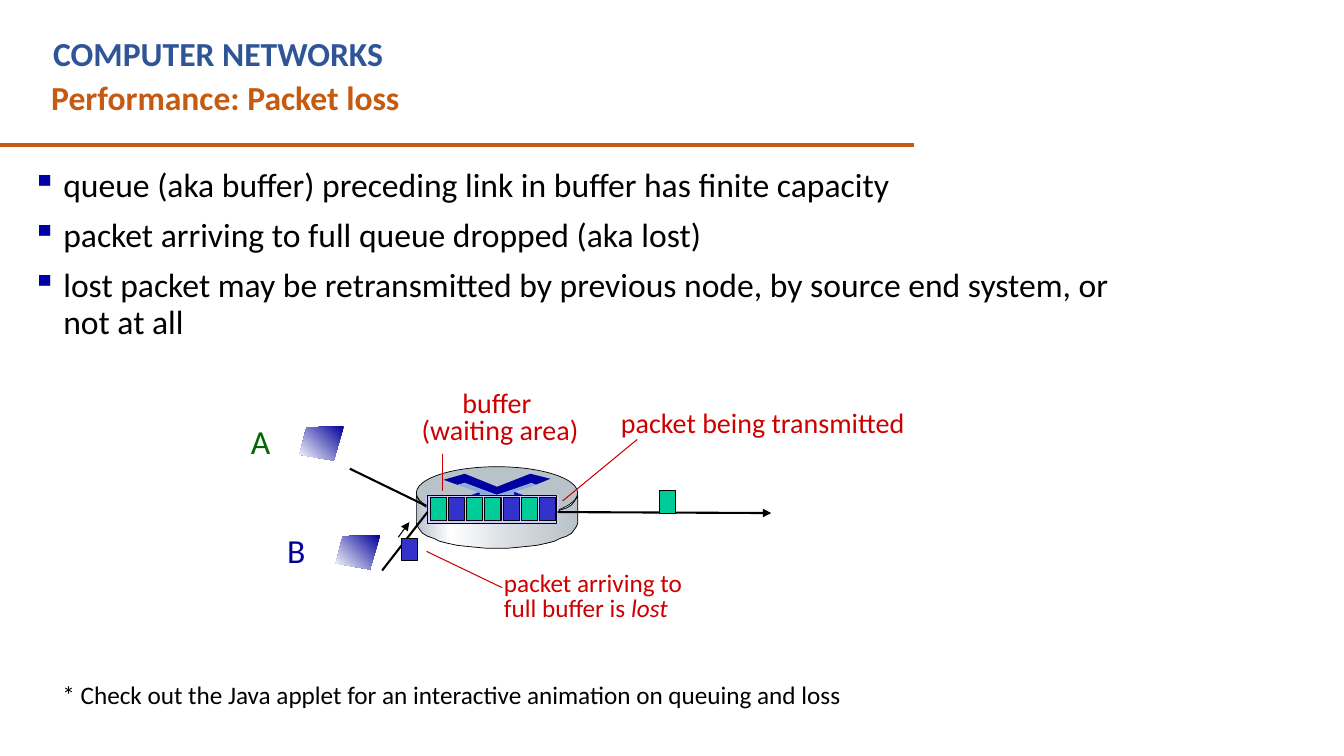
from dataclasses import dataclass
from math import cos, pi, sin

from lxml import etree
from pptx import Presentation
from pptx.dml.color import RGBColor
from pptx.enum.shapes import MSO_CONNECTOR, MSO_SHAPE
from pptx.enum.text import MSO_AUTO_SIZE, PP_ALIGN
from pptx.oxml.ns import qn
from pptx.util import Pt

PX = 9144
RECT, OVAL = MSO_SHAPE.RECTANGLE, MSO_SHAPE.OVAL
LINE = MSO_CONNECTOR.STRAIGHT
LEFT, MID = PP_ALIGN.LEFT, PP_ALIGN.CENTER
GROW, FIXED = MSO_AUTO_SIZE.SHAPE_TO_FIT_TEXT, MSO_AUTO_SIZE.NONE


@dataclass(frozen=True)
class Theme:
    font: str = "Calibri"
    big: int = 24
    label: int = 20
    small: int = 18
    black: str = "000000"
    title: str = "2F5597"
    accent: str = "C55A11"
    note: str = "CC0000"
    bullet: str = "0000A3"
    host_a: str = "006600"
    host_b: str = "000099"
    green: str = "00CC99"
    blue: str = "3333CC"
    queue: str = "CCCCFF"
    metal: str = "B8C2C9"
    cross: str = "0000A3"
    band: str = "8FAADC"
    shell: tuple = ((0, "B8C2C9"), (21, "FFFFFF"), (60, "D6DCE0"), (100, "B8C2C9"))
    screen: tuple = ((0, "000099"), (100, "FFFFFF"))


T = Theme()


def rgb(code):
    return RGBColor.from_string(code)


def scale(*nums):
    return [n * PX for n in nums]


def blend(shape, stops, angle):
    shape.fill.gradient()
    shape.fill.gradient_angle = angle
    items = shape._element.spPr.find(".//" + qn("a:gsLst"))
    for old in list(items):
        items.remove(old)
    for place, code in stops:
        stop = etree.SubElement(items, qn("a:gs"), pos=str(place * 1000))
        etree.SubElement(stop, qn("a:srgbClr"), val=code)


def paint(shape, fill=None, edge=None):
    shape.shadow.inherit = False
    if fill:
        shape.fill.solid()
        shape.fill.fore_color.rgb = rgb(fill)
    else:
        shape.fill.background()
    if edge:
        shape.line.color.rgb = rgb(T.black)
        shape.line.width = Pt(edge)
    else:
        shape.line.fill.background()
    return shape


def block(slide, kind, box, fill=None, edge=None):
    return paint(slide.shapes.add_shape(kind, *scale(*box)), fill, edge)


def packet(slide, x, y, fill):
    block(slide, RECT, (x, y, 16, 22), fill, 0.75)


def outline(slide, points, fill=None, edge=None):
    form = slide.shapes.build_freeform(*points[0], scale=PX)
    form.add_line_segments(points[1:])
    return paint(form.convert_to_shape(), fill, edge)


def link(slide, ends, color, width, arrow=False):
    wire = slide.shapes.add_connector(LINE, *scale(*ends))
    wire.line.color.rgb = rgb(color)
    wire.line.width = Pt(width)
    props = wire._element.spPr
    if arrow:
        etree.SubElement(props.find(qn("a:ln")), qn("a:tailEnd"), type="triangle")
    etree.SubElement(props, qn("a:effectLst"))


def mark(para):
    props = para._p.get_or_add_pPr()
    props.set("marL", str(31 * PX))
    props.set("indent", str(-31 * PX))
    tint = etree.SubElement(props, qn("a:buClr"))
    etree.SubElement(tint, qn("a:srgbClr"), val=T.bullet)
    etree.SubElement(props, qn("a:buChar"), char="▪")


def text(slide, box, lines, size, color, bold=False, wrap=False,
         align=LEFT, space=None, list_gap=None):
    frame = slide.shapes.add_textbox(*scale(*box)).text_frame
    frame.word_wrap = wrap
    frame.auto_size = GROW if list_gap is None else FIXED
    for i, line in enumerate(lines):
        para = frame.add_paragraph() if i else frame.paragraphs[0]
        if list_gap is not None:
            mark(para)
            if i:
                para.space_before = Pt(list_gap)
        para.alignment = align
        if space:
            para.line_spacing = space
        for words, slant in line:
            run = para.add_run()
            run.text = words
            font = run.font
            font.name, font.size = T.font, Pt(size)
            font.bold, font.italic = bold, slant
            font.color.rgb = rgb(color)


def plain(*lines):
    return [[(line, False)] for line in lines]


def head(slide):
    link(slide, (0, 144, 907, 144), T.accent, 3)
    text(slide, (43, 28, 820, 50), plain("COMPUTER NETWORKS"),
         T.big, T.title, bold=True, wrap=True)
    text(slide, (41, 71, 875, 50), plain("Performance: Packet loss"),
         T.big, T.accent, bold=True, wrap=True)


def points(slide):
    lines = plain(
        "queue (aka buffer) preceding link in buffer has finite capacity",
        "packet arriving to full queue dropped (aka lost)",
        "lost packet may be retransmitted by previous node, by source end system, or not at all")
    text(slide, (22, 162, 1117, 278), lines, T.big, T.black,
         wrap=True, space=0.9, list_gap=10)


def arc(y, turns):
    return [(round(493 + 80 * cos(pi * t / 24)), round(y + 25 * sin(pi * t / 24)))
            for t in turns]


def router(slide):
    body = outline(slide, arc(519, range(25)) + arc(491, range(24, -1, -1)), T.metal, 0.5)
    blend(body, T.shell, 0)
    block(slide, OVAL, (413, 463, 160, 52), T.metal, 0.5)
    outline(slide, [(526, 470), (546, 475), (531, 481), (527, 480), (492, 491),
                    (461, 479), (454, 481), (440, 476), (461, 470), (493, 483)], T.cross)
    wing = [(510, 488), (549, 502), (536, 507), (510, 498)]
    outline(slide, wing, T.cross)
    outline(slide, [(986 - x, y) for x, y in wing], T.cross)
    outline(slide, [(454, 481), (461, 479), (493, 491), (527, 479), (532, 481),
                    (510, 488), (510, 498), (535, 507), (529, 508), (493, 495),
                    (456, 508), (450, 506), (476, 498), (476, 489)], T.band)


def queue(slide):
    block(slide, RECT, (423, 491, 131, 29), T.queue)
    link(slide, (347, 465, 423, 502), T.black, 1.5)
    link(slide, (379, 566, 424, 508), T.black, 1.5)
    link(slide, (553, 508, 765, 509), T.black, 1.5, arrow=True)
    fills = {"G": T.green, "B": T.blue}
    for i, key in enumerate("GBGGBGB"):
        packet(slide, 427 + 18 * i, 494, fills[key])
    block(slide, RECT, (424, 492, 128, 27), edge=0.75)
    packet(slide, 654, 487, T.green)
    packet(slide, 398, 534, T.blue)
    link(slide, (395, 533, 406, 518), T.black, 0.75, arrow=True)


def host(slide, x, y, name, color):
    text(slide, (x, y, 40, 50), plain(name), T.big, color)
    shape = [(102, 10), (65, 11), (58, 38), (92, 44)]
    blend(outline(slide, [(x + dx, y + dy) for dx, dy in shape], color), T.screen, 225)


def notes(slide):
    text(slide, (407, 384, 178, 65), plain("buffer ", "(waiting area)"),
         T.label, T.note, align=MID, space=0.8)
    text(slide, (606, 404, 305, 38), plain("packet being transmitted"),
         T.label, T.note, space=0.8)
    text(slide, (490, 564, 199, 58),
         [[("packet arriving to", False)], [("full buffer is ", False), ("lost", True)]],
         T.small, T.note, space=0.8)
    for ends in ((439, 450, 439, 487), (632, 436, 558, 497), (498, 583, 423, 547)):
        link(slide, ends, T.note, 0.75)
    text(slide, (52, 669, 802, 40),
         plain("* Check out the Java applet for an interactive animation on queuing and loss"),
         T.small, T.black)


def main():
    deck = Presentation()
    deck.slide_width, deck.slide_height = scale(1333, 750)
    slide = deck.slides.add_slide(deck.slide_layouts[6])
    head(slide)
    points(slide)
    router(slide)
    queue(slide)
    host(slide, 239, 413, "A", T.host_a)
    host(slide, 275, 521, "B", T.host_b)
    notes(slide)
    deck.save("out.pptx")


if __name__ == "__main__":
    main()
